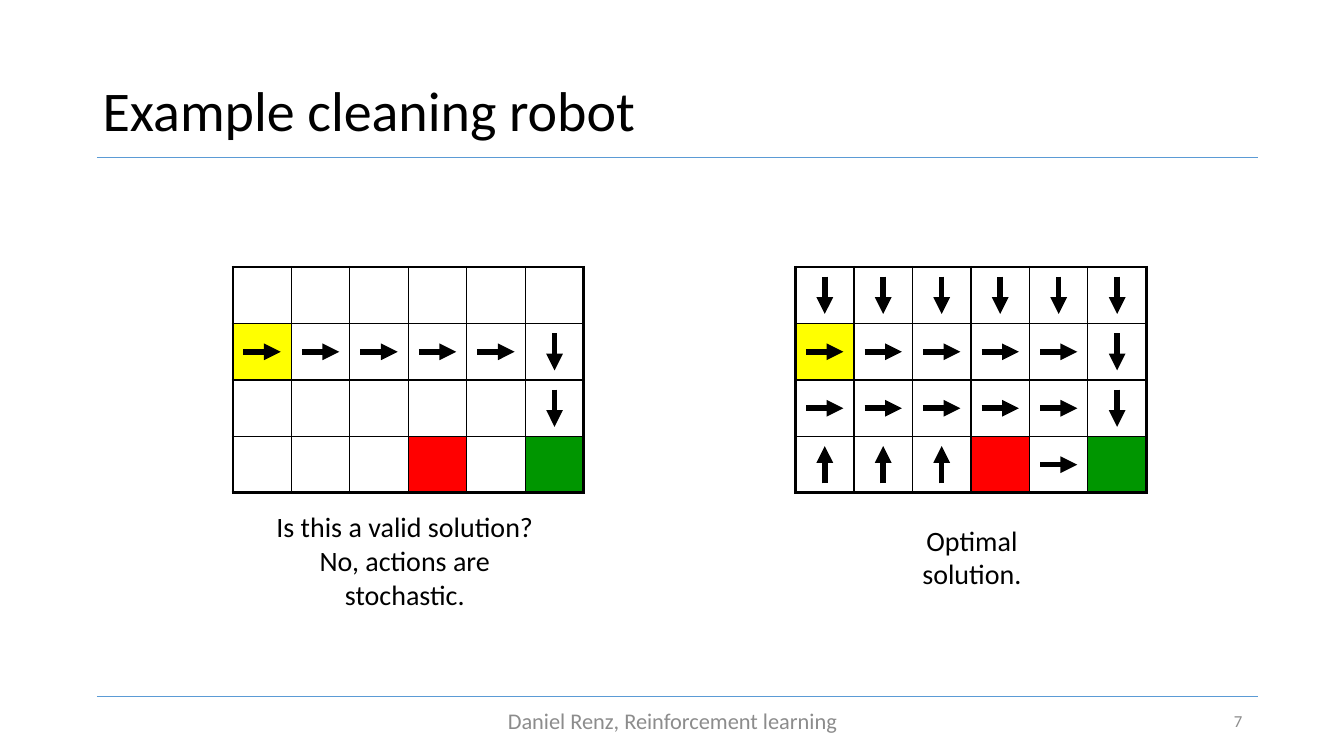
from lxml import etree
from pptx import Presentation
from pptx import util as u
from pptx.dml.color import RGBColor
from pptx.enum import shapes, text
from pptx.oxml.ns import qn

COLORS = {"ink": "000000", "muted": "8C8C8C", "rule": "5B9BD5", "start": "FFFF00",
          "trap": "FF0000", "goal": "009600"}
FONT = "Calibri"
COLS, ROWS = 6, 4
CELL_W, CELL_H = 0.58, 0.56
ARROW = 0.37
STEPS = {"→": (1, 0), "↓": (0, 1), "↑": (0, -1)}
SPECIAL_CELLS = {(1, 0): "start", (3, 3): "trap", (3, 5): "goal"}
FIRST_TRY = ["      ", "→→→→→↓", "     ↓", "      "]
OPTIMAL = ["↓↓↓↓↓↓", "→→→→→↓", "→→→→→↓", "↑↑↑ → "]


def rgb(name):
    """Return the named colour."""
    return RGBColor.from_string(COLORS[name])


def add_label(slide, box, words, size, color="ink", align="CENTER", anchor="MIDDLE", spacing=None):
    """Write text into a box given as left, top, width and height in inches."""
    label = slide.shapes.add_textbox(*map(u.Inches, box)).text_frame
    label.word_wrap = True
    label.vertical_anchor = text.MSO_ANCHOR[anchor]
    paragraph = label.paragraphs[0]
    paragraph.text = words
    paragraph.alignment = text.PP_ALIGN[align]
    paragraph.line_spacing = spacing
    paragraph.font.name = FONT
    paragraph.font.size = u.Pt(size)
    paragraph.font.color.rgb = rgb(color)


def add_line(slide, start, end, color, width):
    """Draw a straight line without shadow and return its line properties."""
    line = slide.shapes.add_connector(shapes.MSO_CONNECTOR.STRAIGHT,
                                      *map(u.Inches, (*start, *end)))
    line.line.color.rgb = rgb(color)
    line.line.width = u.Pt(width)
    properties = line._element.spPr
    etree.SubElement(properties, qn("a:effectLst"))
    return properties.find(qn("a:ln"))


def add_action(slide, center, step):
    """Draw an action arrow around a cell centre."""
    x, y = center
    dx, dy = (ARROW / 2 * part for part in step)
    outline = add_line(slide, (x - dx, y - dy), (x + dx, y + dy), "ink", 4)
    etree.SubElement(outline, qn("a:tailEnd"), type="triangle")


def border_cell(cell, row, col):
    """Give a cell thin inner borders and thick outer ones."""
    outer = {"L": col == 0, "R": col == COLS - 1, "T": row == 0, "B": row == ROWS - 1}
    properties = cell._tc.get_or_add_tcPr()
    for place, (side, thick) in enumerate(outer.items()):
        border = etree.Element(qn(f"a:ln{side}"), w=str(u.Pt(2.25 if thick else 1)))
        fill = etree.SubElement(border, qn("a:solidFill"))
        etree.SubElement(fill, qn("a:srgbClr"), val=COLORS["ink"])
        properties.insert(place, border)


def add_world(slide, left, top, policy):
    """Draw the robot's grid world and the actions of a policy."""
    box = (left, top, COLS * CELL_W, ROWS * CELL_H)
    world = slide.shapes.add_table(ROWS, COLS, *map(u.Inches, box)).table
    world.first_row = world.horz_banding = False
    for row, actions in enumerate(policy):
        for col, action in enumerate(actions):
            cell = world.cell(row, col)
            if (row, col) in SPECIAL_CELLS:
                cell.fill.solid()
                cell.fill.fore_color.rgb = rgb(SPECIAL_CELLS[row, col])
            else:
                cell.fill.background()
            border_cell(cell, row, col)
            if action in STEPS:
                center = (left + (col + 0.5) * CELL_W, top + (row + 0.5) * CELL_H)
                add_action(slide, center, STEPS[action])


def add_header(slide, left, top, width, height):
    """Place the title and the rule below it."""
    add_label(slide, (left, top, width, height), "Example cleaning robot", 40,
              align="LEFT", spacing=0.9)
    add_line(slide, (left + 0.04, top + 1.16), (left + width + 0.06, top + 1.16), "rule", 0.5)


def add_footer(slide, left, top, width, height):
    """Place the footer rule, the credit and the page number."""
    add_line(slide, (left + 0.04, top - 0.04), (left + width + 0.06, top - 0.04), "rule", 0.5)
    add_label(slide, (left + 3.5, top, 4.5, height), "Daniel Renz, Reinforcement learning",
              16, "muted")
    add_label(slide, (left + width - 3, top, 3, height), "7", 12, "muted", "RIGHT")


def main():
    """Build and save the slide."""
    deck = Presentation()
    deck.slide_width, deck.slide_height = u.Inches(13.33), u.Inches(7.5)
    slide = deck.slides.add_slide(deck.slide_layouts[6])
    add_header(slide, 0.92, 0.4, 11.5, 1.45)
    add_world(slide, 2.31, 2.65, FIRST_TRY)
    add_label(slide, (2.47, 5.01, 3.09, 0.77),
              "Is this a valid solution?\nNo, actions are stochastic.", 20, anchor="TOP")
    add_world(slide, 7.89, 2.65, OPTIMAL)
    add_label(slide, (8.59, 5.14, 2.1, 0.44), "Optimal solution.", 20, anchor="TOP")
    add_footer(slide, 0.92, 6.95, 11.5, 0.4)
    deck.save("out.pptx")


if __name__ == "__main__":
    main()
